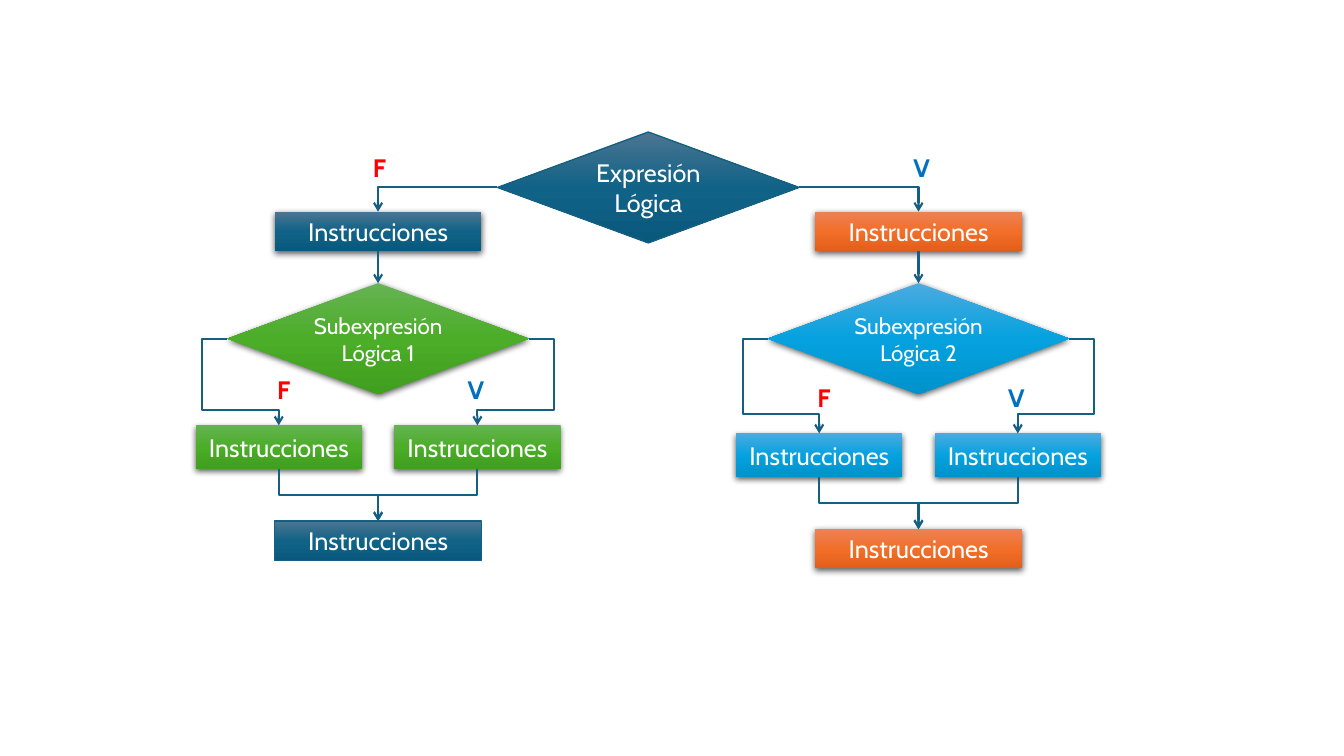
from copy import deepcopy
from lxml import etree
from pptx import Presentation
from pptx.dml.color import RGBColor
from pptx.enum.shapes import MSO_CONNECTOR, MSO_SHAPE
from pptx.enum.text import MSO_ANCHOR, MSO_AUTO_SIZE, PP_ALIGN
from pptx.oxml.ns import qn
from pptx.util import Inches, Pt

DIAMOND, RECT = MSO_SHAPE.FLOWCHART_DECISION, MSO_SHAPE.RECTANGLE
STRAIGHT, ELBOW = MSO_CONNECTOR.STRAIGHT, MSO_CONNECTOR.ELBOW
LINE = RGBColor(0x15, 0x60, 0x82)
WHITE = RGBColor(0xFF, 0xFF, 0xFF)
RED = RGBColor(0xFF, 0x00, 0x00)
BLUE = RGBColor(0x00, 0x70, 0xC0)
# Gradients: top, middle, bottom
NAVY = [RGBColor(0x4C, 0x75, 0x91), RGBColor(0x10, 0x62, 0x87), RGBColor(0x09, 0x59, 0x7D)]
GREEN = [RGBColor(0x66, 0xB3, 0x54), RGBColor(0x4B, 0xAD, 0x28), RGBColor(0x40, 0x9F, 0x1E)]
SKY = [RGBColor(0x4C, 0xAA, 0xDF), RGBColor(0x05, 0xA2, 0xDF), RGBColor(0x00, 0x92, 0xCB)]
ORANGE = [RGBColor(0xED, 0x82, 0x57), RGBColor(0xF2, 0x6E, 0x29), RGBColor(0xE2, 0x5F, 0x1A)]

prs = Presentation()
prs.slide_width, prs.slide_height = Inches(13.33), Inches(7.5)
s = prs.slides.add_slide(prs.slide_layouts[6])


def add_text(text, x, y, w, h, shape=None, grad=None, outlined=False,
             size=18, color=WHITE, bold=False):
    """Put text in a gradient shape centred on x, or in a plain box starting at x."""
    if shape is None:
        sp = s.shapes.add_textbox(Inches(x), Inches(y), Inches(w), Inches(h))
    else:
        sp = s.shapes.add_shape(shape, Inches(x - w / 2), Inches(y), Inches(w), Inches(h))
        sp.fill.gradient()
        sp.fill.gradient_angle = 270
        stops = sp._element.spPr.find(".//" + qn("a:gsLst"))
        stops.append(deepcopy(stops[0]))
        for i, stop in enumerate(sp.fill.gradient_stops):
            stop.color.rgb, stop.position = grad[i], i / 2
        sp.shadow.inherit = False
        if outlined:
            sp.line.color.rgb, sp.line.width = LINE, Pt(1)
        else:
            sp.line.fill.background()
            effects = sp._element.spPr.find(qn("a:effectLst"))
            shadow = etree.SubElement(effects, qn("a:outerShdw"), blurRad="57150",
                                      dist="19050", dir="5400000", algn="ctr", rotWithShape="0")
            black = etree.SubElement(shadow, qn("a:srgbClr"), val="000000")
            etree.SubElement(black, qn("a:alpha"), val="63000")
    tf = sp.text_frame
    tf.word_wrap = True
    p = tf.paragraphs[0]
    if shape is None:
        tf.auto_size = MSO_AUTO_SIZE.SHAPE_TO_FIT_TEXT
    else:
        tf.vertical_anchor = MSO_ANCHOR.MIDDLE
        p.alignment = PP_ALIGN.CENTER
    r = p.add_run()
    r.text = text
    r.font.name, r.font.size, r.font.bold = "Cabin", Pt(size), bold
    r.font.color.rgb = color


def add_arrow(x1, y1, x2, y2, preset=None, adjust=(), turned=False):
    """Draw an arrow; a turned one leaves its start vertically."""
    if turned:
        cx, cy, dx, dy = (x1 + x2) / 2, (y1 + y2) / 2, x2 - x1, y2 - y1
        x1, y1, x2, y2 = cx - dy / 2, cy + dx / 2, cx + dy / 2, cy - dx / 2
    c = s.shapes.add_connector(ELBOW if preset else STRAIGHT,
                               Inches(x1), Inches(y1), Inches(x2), Inches(y2))
    c.line.color.rgb, c.line.width = LINE, Pt(1.5)
    spPr = c._element.spPr
    etree.SubElement(spPr.find(qn("a:ln")), qn("a:tailEnd"), type="arrow")
    etree.SubElement(spPr, qn("a:effectLst"))
    if turned:
        spPr.find(qn("a:xfrm")).set("rot", "5400000")
    if preset:
        geom = spPr.find(qn("a:prstGeom"))
        geom.set("prst", preset)
        for i, share in enumerate(adjust, 1):
            etree.SubElement(geom.find(qn("a:avLst")), qn("a:gd"),
                             name=f"adj{i}", fmla=f"val {round(share * 100000)}")


# Grid of the flowchart
CENTER, BRANCH_DX, LEAF_DX = 6.43, 2.68, 0.985
DIAMOND_W, DIAMOND_H, STEP_W, STEP_H, LEAF_W, LEAF_H = 2.99, 1.1, 2.05, 0.39, 1.65, 0.43
ROOT_Y, STEP_Y, SUB_Y = 1.31, 2.1, 2.81
ROOT_MID, SUB_MID, SUB_END = ROOT_Y + DIAMOND_H / 2, SUB_Y + DIAMOND_H / 2, SUB_Y + DIAMOND_H
END_GAP, SIDE_GAP = 0.52, 0.25

# Main decision
add_text("Expresión Lógica", CENTER, ROOT_Y, DIAMOND_W, DIAMOND_H,
         shape=DIAMOND, grad=NAVY, outlined=True)

# Two branches: side, subexpression, colours, row of leaves, outline of last step
for side, number, step_grad, sub_grad, leaf_y, outlined in [
        (-1, 1, NAVY, GREEN, 4.22, True), (1, 2, ORANGE, SKY, 4.3, False)]:
    x = CENTER + side * BRANCH_DX
    end_y = leaf_y + LEAF_H + END_GAP
    add_text("Instrucciones", x, STEP_Y, STEP_W, STEP_H, shape=RECT, grad=step_grad)
    add_text(f"Subexpresión Lógica {number}", x, SUB_Y, DIAMOND_W, DIAMOND_H,
             shape=DIAMOND, grad=sub_grad, size=16)
    add_text("Instrucciones", x, end_y, STEP_W, STEP_H,
             shape=RECT, grad=step_grad, outlined=outlined)
    add_arrow(CENTER + side * DIAMOND_W / 2, ROOT_MID, x, STEP_Y, "bentConnector2")
    add_arrow(x, STEP_Y + STEP_H, x, SUB_Y)

    # False and true leaves
    for way, label, color, label_dx in [(-1, "F", RED, -1.1), (1, "V", BLUE, 0.79)]:
        leaf_x, tip_x = x + way * LEAF_DX, x + way * DIAMOND_W / 2
        turn_y = (SUB_END + leaf_y) / 2
        add_text("Instrucciones", leaf_x, leaf_y, LEAF_W, LEAF_H, shape=RECT, grad=sub_grad)
        add_arrow(tip_x, SUB_MID, leaf_x, leaf_y, "bentConnector4",
                  adjust=(-SIDE_GAP / abs(tip_x - leaf_x),
                          (turn_y - SUB_MID) / (leaf_y - SUB_MID)))
        add_arrow(leaf_x, leaf_y + LEAF_H, x, end_y, "bentConnector3", turned=True)
        add_text(label, x + label_dx, leaf_y - 0.56, 0.47, 0.4, color=color, bold=True)

# Labels of the main decision
for side, label, color in [(-1, "F", RED), (1, "V", BLUE)]:
    add_text(label, CENTER + side * BRANCH_DX - 0.15, 1.46, 0.47, 0.4, color=color, bold=True)

prs.save("out.pptx")
